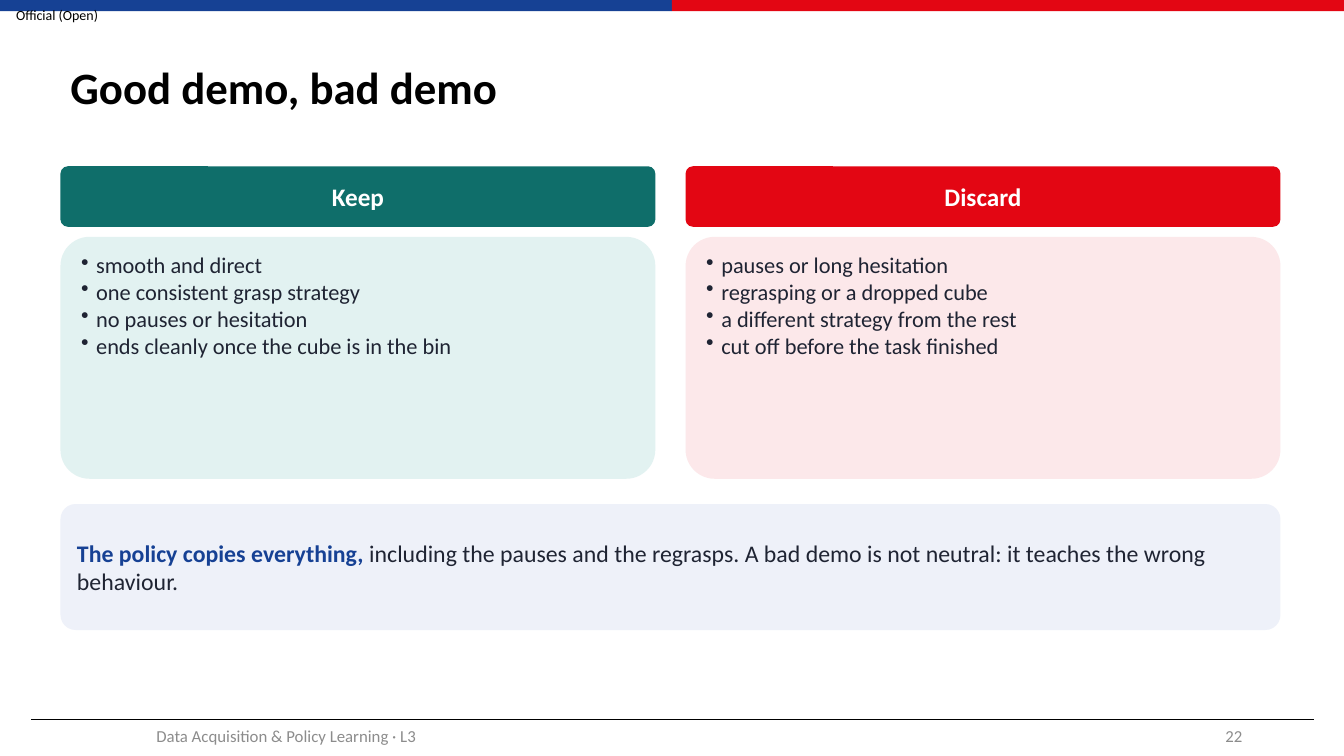
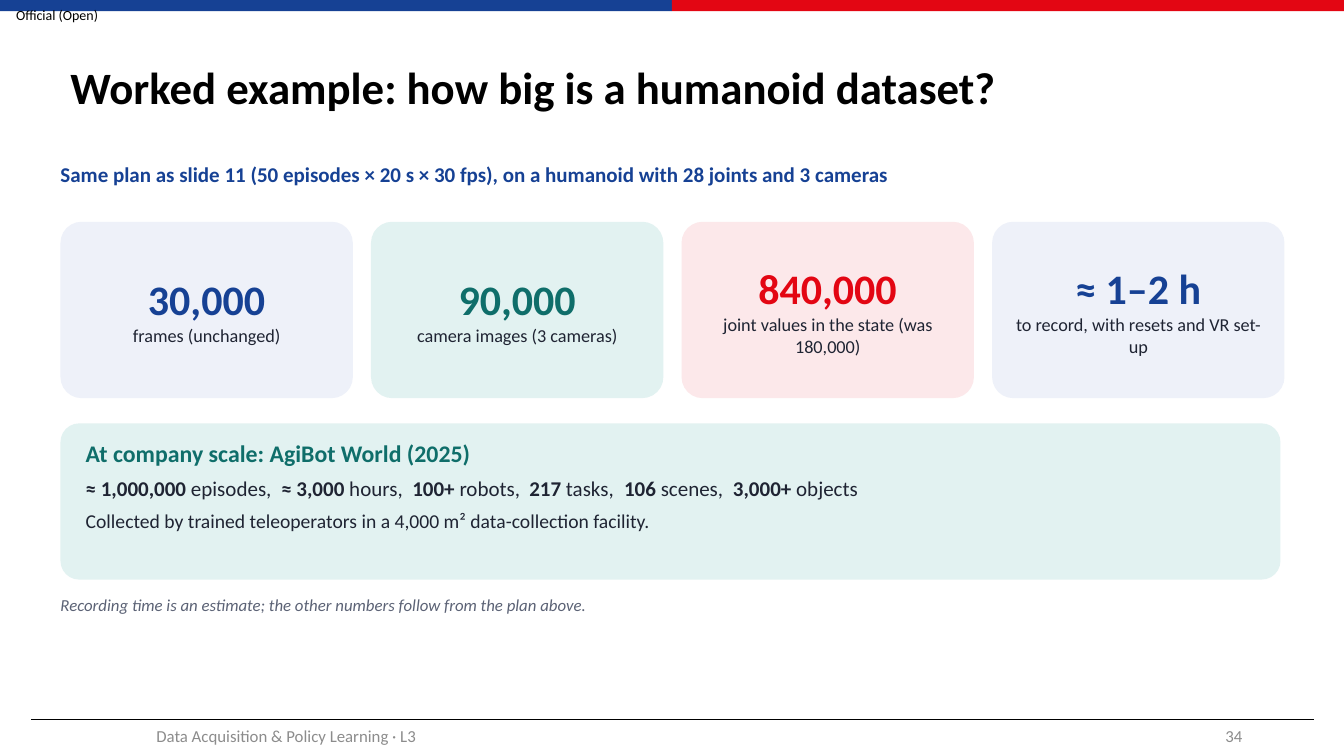
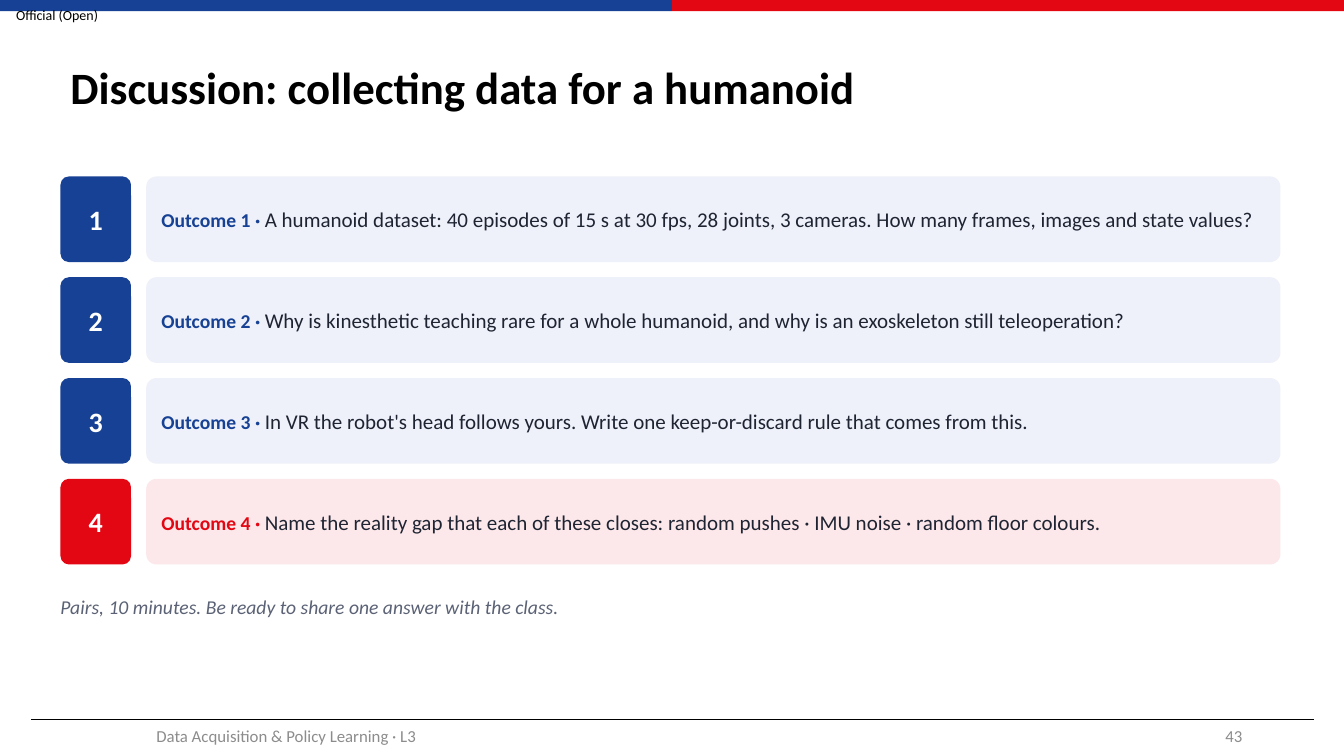
from dataclasses import dataclass, field
from typing import Optional

from lxml.etree import SubElement
from pptx import Presentation
from pptx.dml.color import RGBColor
from pptx.enum.shapes import MSO_CONNECTOR as Connector, MSO_SHAPE as Shape
from pptx.enum.text import MSO_ANCHOR as Anchor, PP_ALIGN as Align
from pptx.oxml.ns import qn
from pptx.util import Inches, Pt

# Shared style
FONT = "Calibri"
BLUE, RED, TEAL = "164194", "E30613", "0F6E6A"
PALE_BLUE, PALE_RED, PALE_TEAL = "EEF1F9", "FCE8EA", "E2F2F1"
INK, SLATE, GREY, BLACK, WHITE = "1F2433", "5B6275", "8C8C8C", "000000", "FFFFFF"
SLIDE_WIDTH, SLIDE_HEIGHT = 13.33, 7.5
LEFT, CONTENT_WIDTH = 0.6, 12.1
CORNER = 0.12
NO_INSETS, BOX_INSETS, CARD_INSETS = (0, 0), (0.1, 0.05), (0.12, 0.06)


@dataclass
class Run:
    text: str
    size: float
    color: str = INK
    bold: bool = False
    italic: bool = False


@dataclass
class Line:
    runs: list[Run]
    align: Align = Align.LEFT
    space_after: float = 0
    line_spacing: Optional[float] = None
    bullet: bool = False
    tabs: list[float] = field(default_factory=list)


@dataclass
class Box:
    left: float
    top: float
    width: float
    height: float

    def lengths(self):
        return [Inches(v) for v in (self.left, self.top, self.width, self.height)]


@dataclass
class Column:
    heading: str
    color: str
    pale: str
    points: list[str]


@dataclass
class Figure:
    value: str
    label: str
    color: str
    pale: str


@dataclass
class Question:
    text: str
    color: str = BLUE
    pale: str = PALE_BLUE


def rgb(color: str) -> RGBColor:
    return RGBColor.from_string(color)


# Drawing helpers
def add_bullet(paragraph) -> None:
    properties = paragraph._p.get_or_add_pPr()
    indent = Inches(0.15)
    properties.set("marL", str(indent))
    properties.set("indent", str(-indent))
    SubElement(properties, qn("a:buChar")).set("char", "•")


def add_tabs(paragraph, positions: list[float]) -> None:
    tab_list = SubElement(paragraph._p.get_or_add_pPr(), qn("a:tabLst"))
    for position in positions:
        tab = SubElement(tab_list, qn("a:tab"))
        tab.set("pos", str(Inches(position)))
        tab.set("algn", "l")


def write(shape, lines: list[Line], insets: tuple, anchor: Anchor) -> None:
    frame = shape.text_frame
    frame.word_wrap = True
    frame.vertical_anchor = anchor
    frame.margin_left = frame.margin_right = Inches(insets[0])
    frame.margin_top = frame.margin_bottom = Inches(insets[1])
    for index, line in enumerate(lines):
        paragraph = frame.add_paragraph() if index else frame.paragraphs[0]
        paragraph.alignment = line.align
        if line.space_after:
            paragraph.space_after = Pt(line.space_after)
        if line.line_spacing:
            paragraph.line_spacing = line.line_spacing
        if line.bullet:
            add_bullet(paragraph)
        if line.tabs:
            add_tabs(paragraph, line.tabs)
        for item in line.runs:
            run = paragraph.add_run()
            run.text = item.text
            font = run.font
            font.name, font.size = FONT, Pt(item.size)
            font.bold, font.italic = item.bold, item.italic
            font.color.rgb = rgb(item.color)


def add_text(slide, box: Box, lines: list[Line], insets: tuple = NO_INSETS,
             anchor: Anchor = Anchor.TOP) -> None:
    write(slide.shapes.add_textbox(*box.lengths()), lines, insets, anchor)


def add_block(slide, kind: Shape, box: Box, fill: str):
    shape = slide.shapes.add_shape(kind, *box.lengths())
    shape.shadow.inherit = False
    shape.fill.solid()
    shape.fill.fore_color.rgb = rgb(fill)
    shape.line.fill.background()
    return shape


def add_card(slide, box: Box, fill: str, lines: Optional[list[Line]] = None,
             anchor: Anchor = Anchor.MIDDLE) -> None:
    shape = add_block(slide, Shape.ROUNDED_RECTANGLE, box, fill)
    shape.adjustments[0] = CORNER
    if lines:
        write(shape, lines, CARD_INSETS, anchor)


def add_base_slide(presentation, title: str, number: int):
    slide = presentation.slides.add_slide(presentation.slide_layouts[6])
    # Top band and classification label
    half = SLIDE_WIDTH / 2
    for index, color in enumerate((BLUE, RED)):
        add_block(slide, Shape.RECTANGLE, Box(index * half, 0, half, 0.11), color)
    add_text(slide, Box(0.16, 0, 0.97, 0.29),
             [Line([Run("Official (Open)", 10, BLACK)])], anchor=Anchor.MIDDLE)
    # Title
    add_text(slide, Box(LEFT, 0.3, 12.08, 1.18),
             [Line([Run(title, 32, BLACK, bold=True)], line_spacing=0.9)],
             BOX_INSETS, Anchor.MIDDLE)
    # Footer
    rule = slide.shapes.add_connector(Connector.STRAIGHT, Inches(0.31), Inches(7.14),
                                      Inches(13.03), Inches(7.14))
    rule.line.color.rgb = rgb(BLACK)
    rule.line.width = Pt(0.5)
    SubElement(rule._element.spPr, qn("a:effectLst"))
    for text, left, width, align in (
            ("Data Acquisition & Policy Learning · L3", 0.59, 4.5, Align.CENTER),
            (str(number), 9.42, 3, Align.RIGHT)):
        add_text(slide, Box(left, 7.1, width, 0.4),
                 [Line([Run(text, 12, GREY)], align)], BOX_INSETS, Anchor.MIDDLE)
    return slide


def add_remark(slide, text: str, size: float) -> None:
    add_text(slide, Box(LEFT, 5.9, CONTENT_WIDTH, 0.4),
             [Line([Run(text, size, SLATE, italic=True)])])


# Slides
def build_demo_slide(presentation) -> None:
    slide = add_base_slide(presentation, "Good demo, bad demo", 22)
    columns = [
        Column("Keep", TEAL, PALE_TEAL, [
            "smooth and direct",
            "one consistent grasp strategy",
            "no pauses or hesitation",
            "ends cleanly once the cube is in the bin"]),
        Column("Discard", RED, PALE_RED, [
            "pauses or long hesitation",
            "regrasping or a dropped cube",
            "a different strategy from the rest",
            "cut off before the task finished"]),
    ]
    gap = 0.3
    width = (CONTENT_WIDTH - gap) / 2
    for index, column in enumerate(columns):
        left = LEFT + index * (width + gap)
        add_card(slide, Box(left, 1.65, width, 0.6), column.color,
                 [Line([Run(column.heading, 18, WHITE, bold=True)], Align.CENTER)])
        add_card(slide, Box(left, 2.35, width, 2.4), column.pale,
                 [Line([Run(point, 16)], bullet=True) for point in column.points],
                 Anchor.TOP)
    add_card(slide, Box(LEFT, 5, CONTENT_WIDTH, 1.25), PALE_BLUE, [Line([
        Run("The policy copies everything, ", 17, BLUE, bold=True),
        Run("including the pauses and the regrasps. A bad demo is not neutral: "
            "it teaches the wrong behaviour.", 17)])])


def build_dataset_slide(presentation) -> None:
    slide = add_base_slide(
        presentation, "Worked example: how big is a humanoid dataset?", 34)
    add_text(slide, Box(LEFT, 1.6, CONTENT_WIDTH, 0.45), [Line([Run(
        "Same plan as slide 11 (50 episodes × 20 s × 30 fps), "
        "on a humanoid with 28 joints and 3 cameras", 15, BLUE, bold=True)])])
    # Key figures
    figures = [
        Figure("30,000", "frames (unchanged)", BLUE, PALE_BLUE),
        Figure("90,000", "camera images (3 cameras)", TEAL, PALE_TEAL),
        Figure("840,000", "joint values in the state (was 180,000)", RED, PALE_RED),
        Figure("≈ 1–2 h", "to record, with resets and VR set-up", BLUE, PALE_BLUE),
    ]
    width, gap = 2.9, 0.18
    for index, figure in enumerate(figures):
        add_card(slide, Box(LEFT + index * (width + gap), 2.2, width, 1.75), figure.pale, [
            Line([Run(figure.value, 30, figure.color, bold=True)], Align.CENTER),
            Line([Run(figure.label, 13)], Align.CENTER)])
    # Company scale panel
    totals = [("≈ 1,000,000 ", "episodes,\t"), ("≈ 3,000 ", "hours,\t"),
              ("100+ ", "robots,\t"), ("217 ", "tasks,\t"),
              ("106 ", "scenes,\t"), ("3,000+ ", "objects")]
    total_runs = [run for amount, unit in totals
                  for run in (Run(amount, 15, bold=True), Run(unit, 15))]
    add_card(slide, Box(LEFT, 4.2, CONTENT_WIDTH, 1.55), PALE_TEAL)
    add_text(slide, Box(0.85, 4.35, 11.6, 1.35), [
        Line([Run("At company scale: AgiBot World (2025)", 17, TEAL, bold=True)],
             space_after=6),
        Line(total_runs, space_after=6, tabs=[1.94, 3.24, 4.4, 5.34, 6.42]),
        Line([Run("Collected by trained teleoperators in a 4,000 m² "
                  "data-collection facility.", 14)])])
    add_remark(slide, "Recording time is an estimate; "
               "the other numbers follow from the plan above.", 12)


def build_discussion_slide(presentation) -> None:
    slide = add_base_slide(
        presentation, "Discussion: collecting data for a humanoid", 43)
    questions = [
        Question("A humanoid dataset: 40 episodes of 15 s at 30 fps, 28 joints, "
                 "3 cameras. How many frames, images and state values?"),
        Question("Why is kinesthetic teaching rare for a whole humanoid, "
                 "and why is an exoskeleton still teleoperation?"),
        Question("In VR the robot's head follows yours. "
                 "Write one keep-or-discard rule that comes from this."),
        Question("Name the reality gap that each of these closes: "
                 "random pushes · IMU noise · random floor colours.", RED, PALE_RED),
    ]
    height, gap, badge_width = 0.85, 0.15, 0.7
    text_offset = badge_width + gap
    for index, question in enumerate(questions):
        top = 1.75 + index * (height + gap)
        number = str(index + 1)
        add_card(slide, Box(LEFT, top, badge_width, height), question.color,
                 [Line([Run(number, 20, WHITE, bold=True)], Align.CENTER)])
        add_card(slide, Box(LEFT + text_offset, top, CONTENT_WIDTH - text_offset, height),
                 question.pale, [Line([
                     Run(f"Outcome {number} · ", 14, question.color, bold=True),
                     Run(question.text, 15)])])
    add_remark(slide, "Pairs, 10 minutes. "
               "Be ready to share one answer with the class.", 14)


def main() -> None:
    presentation = Presentation()
    presentation.slide_width = Inches(SLIDE_WIDTH)
    presentation.slide_height = Inches(SLIDE_HEIGHT)
    build_demo_slide(presentation)
    build_dataset_slide(presentation)
    build_discussion_slide(presentation)
    presentation.save("out.pptx")


if __name__ == "__main__":
    main()
